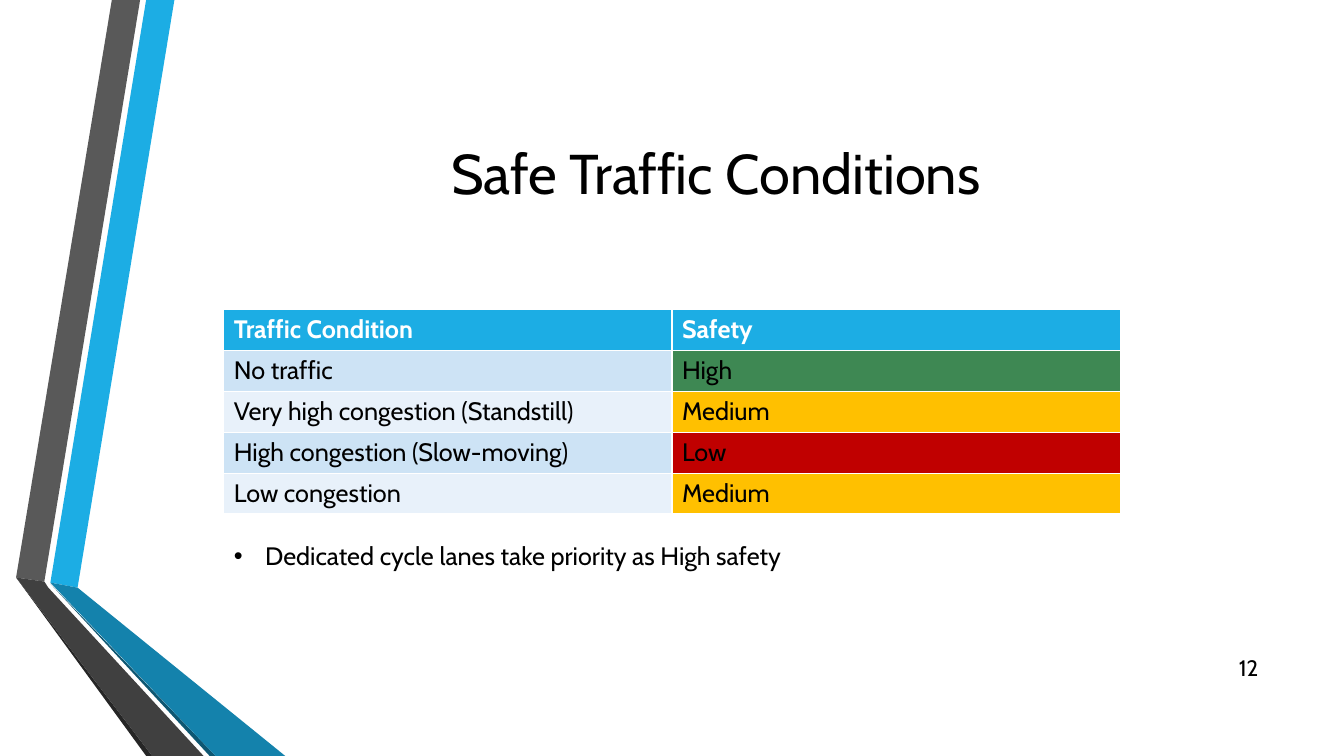
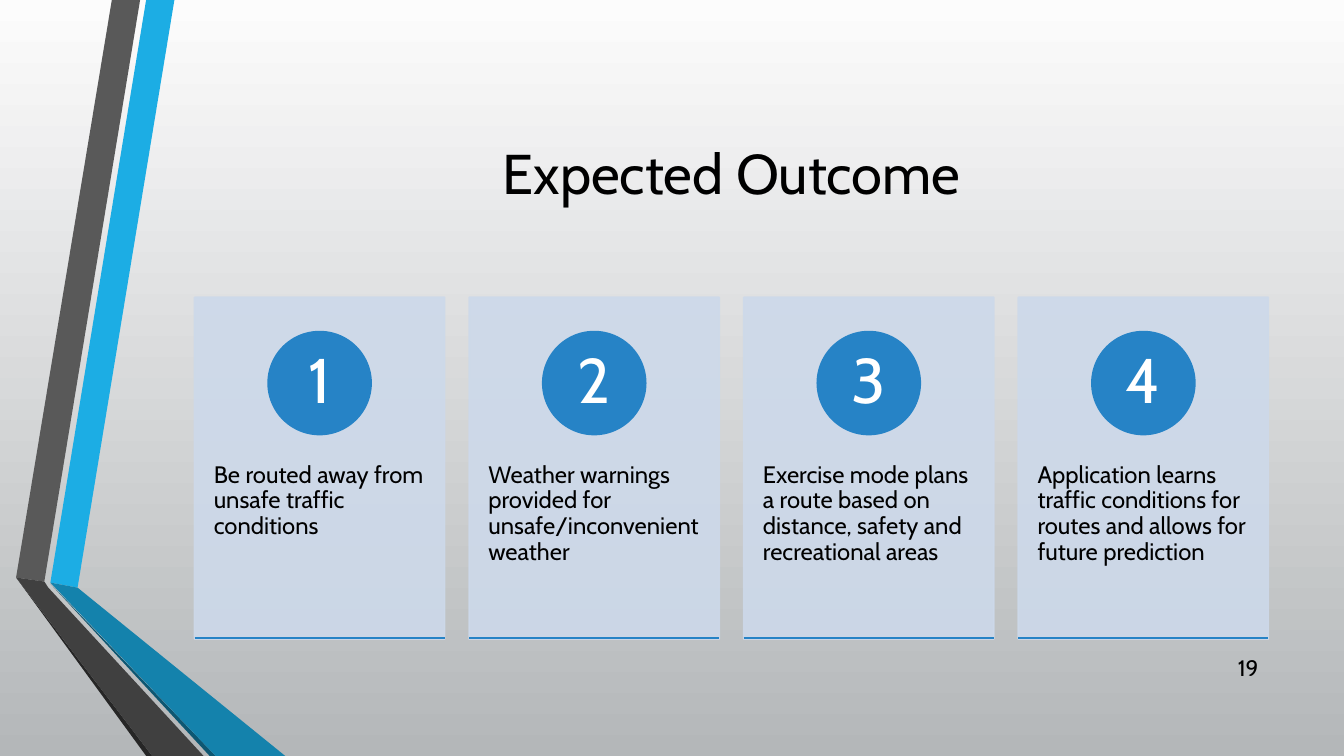
from dataclasses import dataclass

from lxml.etree import SubElement
from pptx import Presentation
from pptx.dml.color import RGBColor
from pptx.enum.shapes import MSO_CONNECTOR, MSO_SHAPE
from pptx.enum.text import MSO_ANCHOR, MSO_AUTO_SIZE, PP_ALIGN
from pptx.oxml.ns import qn
from pptx.util import Inches, Pt

FONT = "Cabin"
BLACK, WHITE = "000000", "FFFFFF"
SKY, BLUE, PALE = "1CADE4", "2683C6", "CDD9EA"
STRIPES = ("CDE3F5", "E8F1FA")
RATINGS = {"High": "3E8853", "Medium": "FFC000", "Low": "C00000"}
RIGHT = 12.58  # shared right edge of titles, cards and numbers


@dataclass
class Band:
    color: str
    points: list[tuple[float, float]]


@dataclass
class Card:
    number: str
    text: str


BANDS = [
    Band(SKY, [(0.5, 5.78), (0.77, 5.83), (1.73, 0), (1.45, 0)]),
    Band("595959", [(1.39, 0), (1.11, 0), (0.16, 5.73), (0.44, 5.77)]),
    Band("262626", [(0.16, 5.73), (1.45, 7.5), (1.51, 7.5)]),
    Band("0E5772", [(0.5, 5.79), (2.08, 7.5), (2.14, 7.5)]),
    Band("1482AC", [(0.5, 5.78), (2.14, 7.5), (2.83, 7.5), (0.77, 5.83)]),
    Band("404040", [(2.02, 7.5), (0.48, 5.83), (0.44, 5.77), (0.16, 5.73),
                    (1.51, 7.5)]),
]

CONDITIONS = [
    ("Traffic Condition", "Safety"),
    ("No traffic", "High"),
    ("Very high congestion (Standstill)", "Medium"),
    ("High congestion (Slow-moving)", "Low"),
    ("Low congestion", "Medium"),
]

CARDS = [
    Card("1", "Be routed away from unsafe traffic conditions"),
    Card("2", "Weather warnings provided for unsafe/inconvenient weather"),
    Card("3", "Exercise mode plans a route based on distance, safety and "
              "recreational areas"),
    Card("4", "Application learns traffic conditions for routes and allows "
              "for future prediction"),
]


def rgb(color: str) -> RGBColor:
    return RGBColor.from_string(color)


def box(left: float, top: float, width: float, height: float) -> tuple:
    return tuple(Inches(n) for n in (left, top, width, height))


def place(shape, left: float, top: float, width: float, height: float) -> None:
    shape.left, shape.top, shape.width, shape.height = box(left, top, width, height)


def write(frame, text: str, size: float, color: str = BLACK,
          align=PP_ALIGN.LEFT, bold: bool = False):
    """Fill a text frame with one styled paragraph."""
    frame.text = text
    frame.word_wrap = True
    para = frame.paragraphs[0]
    para.alignment = align
    for run in para.runs:
        font = run.font
        font.name, font.size, font.bold = FONT, Pt(size), bold
        font.color.rgb = rgb(color)
    return para


def paint(shape, color: str, edge: bool = True) -> None:
    """Give a shape a flat fill, with a matching outline if asked."""
    shape.shadow.inherit = False
    shape.fill.solid()
    shape.fill.fore_color.rgb = rgb(color)
    if edge:
        shape.line.color.rgb = rgb(color)
        shape.line.width = Pt(1.25)
    else:
        shape.line.fill.background()


def fade(shape, percent: int) -> None:
    """Set the opacity of a shape's fill and outline."""
    for node in list(shape.element.spPr.iter(qn("a:srgbClr"))):
        SubElement(node, qn("a:alpha")).set("val", str(percent * 1000))


def add_bands(prs, slide) -> None:
    """Draw the side ribbons and move them to the master, behind all else."""
    tree = prs.slide_master.element.cSld.spTree
    for i, band in enumerate(BANDS):
        points = [(Inches(x), Inches(y)) for x, y in band.points]
        pen = slide.shapes.build_freeform(*points[0])
        pen.add_line_segments(points[1:], close=True)
        shape = pen.convert_to_shape()
        paint(shape, band.color, edge=False)
        shape.name = f"Band {i + 1}"
        shape.element.nvSpPr.cNvPr.id = 20 + i
        tree.insert(2 + i, shape.element)


def add_slide(prs, layout: int, title: str, left: float, number: str):
    """Start a slide with its title and page number."""
    slide = prs.slides.add_slide(prs.slide_layouts[layout])
    head = slide.shapes.title
    place(head, left, 0.75, RIGHT - left, 1.92)
    head.text_frame.vertical_anchor = MSO_ANCHOR.MIDDLE
    write(head.text_frame, title, 40, align=PP_ALIGN.CENTER)
    page = slide.shapes.add_textbox(*box(RIGHT - 0.6, 6.42, 0.6, 0.4))
    page.text_frame.vertical_anchor = MSO_ANCHOR.MIDDLE
    write(page.text_frame, number, 16, align=PP_ALIGN.RIGHT)
    return slide


def add_grid(slide) -> None:
    """Draw the table of traffic conditions and ratings."""
    table = slide.shapes.add_table(
        len(CONDITIONS), 2, *box(2.22, 3.07, 8.89, 2.03)).table
    for r, row in enumerate(CONDITIONS):
        for c, text in enumerate(row):
            cell = table.cell(r, c)
            top = r == 0
            fill = SKY if top else RATINGS[text] if c else STRIPES[(r - 1) % 2]
            cell.fill.solid()
            cell.fill.fore_color.rgb = rgb(fill)
            write(cell.text_frame, text, 18, WHITE if top else BLACK, bold=top)


def add_note(slide, text: str) -> None:
    """Put a bulleted line in the body placeholder."""
    body = slide.placeholders[1]
    place(body, 2.22, 5.31, 8.89, 0.4)
    frame = body.text_frame
    frame.auto_size = MSO_AUTO_SIZE.SHAPE_TO_FIT_TEXT
    para = write(frame, text, 18)
    para.space_before = Pt(0)
    props = para._p.get_or_add_pPr()
    props.set("marL", str(Inches(0.31)))
    props.set("indent", str(-Inches(0.31)))
    SubElement(props, qn("a:buFont")).set("typeface", "Arial")
    SubElement(props, qn("a:buChar")).set("char", "•")


def add_card(slide, card: Card, left: float, width: float) -> None:
    """Draw a panel with its text, numbered disc and base line."""
    top, high, disc = 2.95, 3.39, 1.02
    panel = slide.shapes.add_shape(
        MSO_SHAPE.RECTANGLE, *box(left, top, width, high))
    paint(panel, PALE)
    fade(panel, 90)
    frame = panel.text_frame
    frame.vertical_anchor = MSO_ANCHOR.TOP
    frame.margin_left = frame.margin_right = Inches(0.19)
    frame.margin_top = Inches(1.64)
    write(frame, card.text, 17).line_spacing = 0.9

    dot = slide.shapes.add_shape(
        MSO_SHAPE.OVAL, *box(left + (width - disc) / 2, 3.29, disc, disc))
    paint(dot, BLUE)
    frame = dot.text_frame
    frame.vertical_anchor = MSO_ANCHOR.MIDDLE
    frame.margin_left = frame.margin_right = Inches(0.08)
    frame.margin_top = frame.margin_bottom = Inches(0.01)
    write(frame, card.number, 45, WHITE, PP_ALIGN.CENTER).line_spacing = 0.9

    base = slide.shapes.add_connector(
        MSO_CONNECTOR.STRAIGHT, Inches(left), Inches(6.33),
        Inches(left + width), Inches(6.33))
    base.line.color.rgb = rgb(BLUE)
    base.line.width = Pt(1.25)
    SubElement(base.element.spPr, qn("a:effectLst"))


def shade(slide, colors: tuple[str, str]) -> None:
    """Set a background that runs from top to bottom."""
    fill = slide.background.fill
    fill.gradient()
    fill.gradient_angle = 270
    for stop, color in zip(fill.gradient_stops, colors):
        stop.color.rgb = rgb(color)


def main() -> None:
    prs = Presentation()
    prs.slide_width, prs.slide_height = Inches(13.33), Inches(7.5)

    # Traffic conditions
    slide = add_slide(prs, 1, "Safe Traffic Conditions", 1.62, "12")
    add_bands(prs, slide)
    add_grid(slide)
    add_note(slide, "Dedicated cycle lanes take priority as High safety")

    # Expected outcome
    left, width = 1.93, 2.48
    slide = add_slide(prs, 5, "Expected Outcome", left, "19")
    shade(slide, ("FCFCFC", "B4B7B9"))
    step = (RIGHT - left - width) / (len(CARDS) - 1)
    for i, card in enumerate(CARDS):
        add_card(slide, card, left + i * step, width)

    prs.save("out.pptx")


if __name__ == "__main__":
    main()
